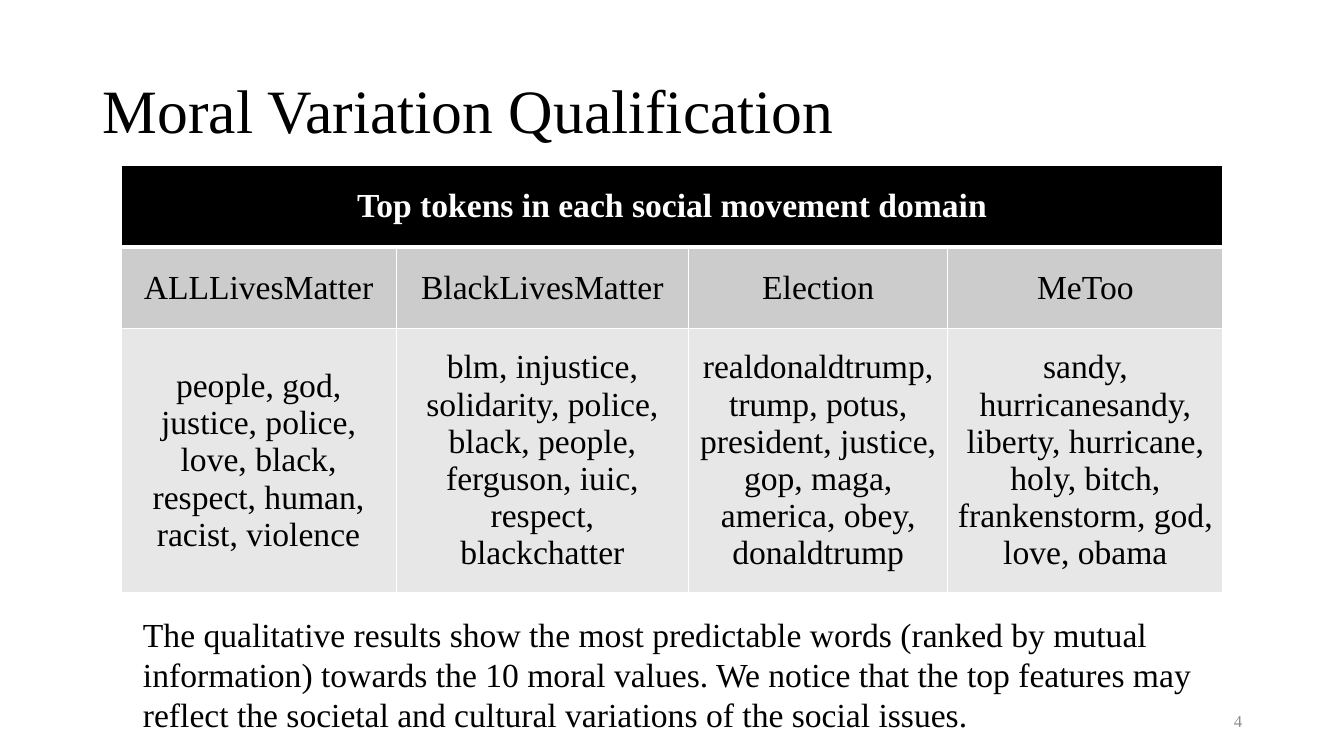
from dataclasses import dataclass

from lxml import etree
from pptx import Presentation
from pptx.dml.color import RGBColor
from pptx.enum.text import MSO_ANCHOR, MSO_AUTO_SIZE, PP_ALIGN
from pptx.oxml.ns import qn
from pptx.util import Inches, Pt

LEFT, MID, RIGHT = PP_ALIGN.LEFT, PP_ALIGN.CENTER, PP_ALIGN.RIGHT
TOP, CENTER = MSO_ANCHOR.TOP, MSO_ANCHOR.MIDDLE
FIXED = MSO_AUTO_SIZE.NONE
WIDE, HIGH = Inches(13.33), Inches(7.5)
FONT = "Times New Roman"
BLACK, WHITE, GRAY = "000000", "FFFFFF", "8C8C8C"


@dataclass(frozen=True)
class Box:
    """Place and size in percent of the slide."""
    x: float
    y: float
    w: float
    h: float

    def rect(self) -> tuple[int, int, int, int]:
        return across(self.x), down(self.y), across(self.w), down(self.h)


@dataclass(frozen=True)
class Style:
    size: float = 24
    color: str = BLACK
    bold: bool = False
    align: PP_ALIGN = LEFT
    anchor: MSO_ANCHOR = TOP


@dataclass(frozen=True)
class Row:
    high: float
    fill: str
    style: Style
    words: tuple[str, ...]
    rule: float = 1


HEAD = Style(color=WHITE, bold=True, align=MID, anchor=CENTER)
CELL = Style(align=MID, anchor=CENTER)
COLS = (20.48, 21.76, 19.28, 20.48)
ROWS = (
    Row(10.8, BLACK, HEAD, ("Top tokens in each social movement domain",), 3),
    Row(10.8, "CCCCCC", CELL,
        ("ALLLivesMatter", "BlackLivesMatter", "Election", "MeToo")),
    Row(34.9, "E7E7E7", CELL, (
        "people, god, justice, police, love, black, respect, human, "
        "racist, violence",
        "blm, injustice, solidarity, police, black, people, ferguson, iuic, "
        "respect, blackchatter",
        "realdonaldtrump, trump, potus, president, justice, gop, maga, "
        "america, obey, donaldtrump",
        "sandy, hurricanesandy, liberty, hurricane, holy, bitch, "
        "frankenstorm, god, love, obama")),
)
NOTE = ("The qualitative results show the most predictable words (ranked by "
        "mutual information) towards the 10 moral values. We notice that the "
        "top features may reflect the societal and cultural variations of "
        "the social issues.")


def across(part: float) -> int:
    return round(WIDE * part / 100)


def down(part: float) -> int:
    return round(HIGH * part / 100)


def tint(code: str) -> RGBColor:
    return RGBColor.from_string(code)


def write(frame, text: str, style: Style) -> None:
    frame.word_wrap = True
    frame.vertical_anchor = style.anchor
    para = frame.paragraphs[0]
    para.alignment = style.align
    run = para.add_run()
    run.text = text
    font = run.font
    font.name, font.size, font.bold = FONT, Pt(style.size), style.bold
    font.color.rgb = tint(style.color)


def edge(cell, low: float, top: float) -> None:
    """Draw white borders; low and top are the widths of those two sides."""
    props = cell._tc.get_or_add_tcPr()
    sides = {"a:lnL": 1, "a:lnR": 1, "a:lnT": top, "a:lnB": low}
    for spot, (tag, width) in enumerate(sides.items()):
        line = etree.Element(qn(tag), w=str(Pt(width)))
        fill = etree.SubElement(line, qn("a:solidFill"))
        etree.SubElement(fill, qn("a:srgbClr"), val=WHITE)
        props.insert(spot, line)


def add_title(slide, box: Box, text: str, style: Style) -> None:
    title = slide.shapes.title
    title.left, title.top, title.width, title.height = box.rect()
    write(title.text_frame, text, style)
    title.text_frame.auto_size = FIXED
    title.text_frame.paragraphs[0].line_spacing = 0.9


def add_text(slide, box: Box, text: str, style: Style) -> None:
    write(slide.shapes.add_textbox(*box.rect()).text_frame, text, style)


def add_grid(slide, box: Box) -> None:
    table = slide.shapes.add_table(len(ROWS), len(COLS), *box.rect()).table
    for col, wide in zip(table.columns, COLS):
        col.width = across(wide)
    top = 1
    for r, row in enumerate(ROWS):
        table.rows[r].height = down(row.high)
        for c in range(len(COLS)):
            cell = table.cell(r, c)
            cell.fill.solid()
            cell.fill.fore_color.rgb = tint(row.fill)
            edge(cell, row.rule, top)
        for c, text in enumerate(row.words):
            cell = table.cell(r, c)
            write(cell.text_frame, text, row.style)
            cell.vertical_anchor = row.style.anchor
        top = row.rule
    table.cell(0, 0).merge(table.cell(0, len(COLS) - 1))


def main() -> None:
    deck = Presentation()
    deck.slide_width, deck.slide_height = WIDE, HIGH
    slide = deck.slides.add_slide(deck.slide_layouts[5])
    add_title(slide, Box(6.9, 5.33, 86.27, 19.33),
              "Moral Variation Qualification", Style(44, anchor=CENTER))
    add_grid(slide, Box(9, 21.87, sum(COLS), sum(row.high for row in ROWS)))
    add_text(slide, Box(70.67, 92.67, 22.5, 5.33), "4",
             Style(12, GRAY, align=RIGHT, anchor=CENTER))
    add_text(slide, Box(9.9, 80.53, 84.77, 17.47), NOTE, Style())
    deck.save("out.pptx")


if __name__ == "__main__":
    main()
